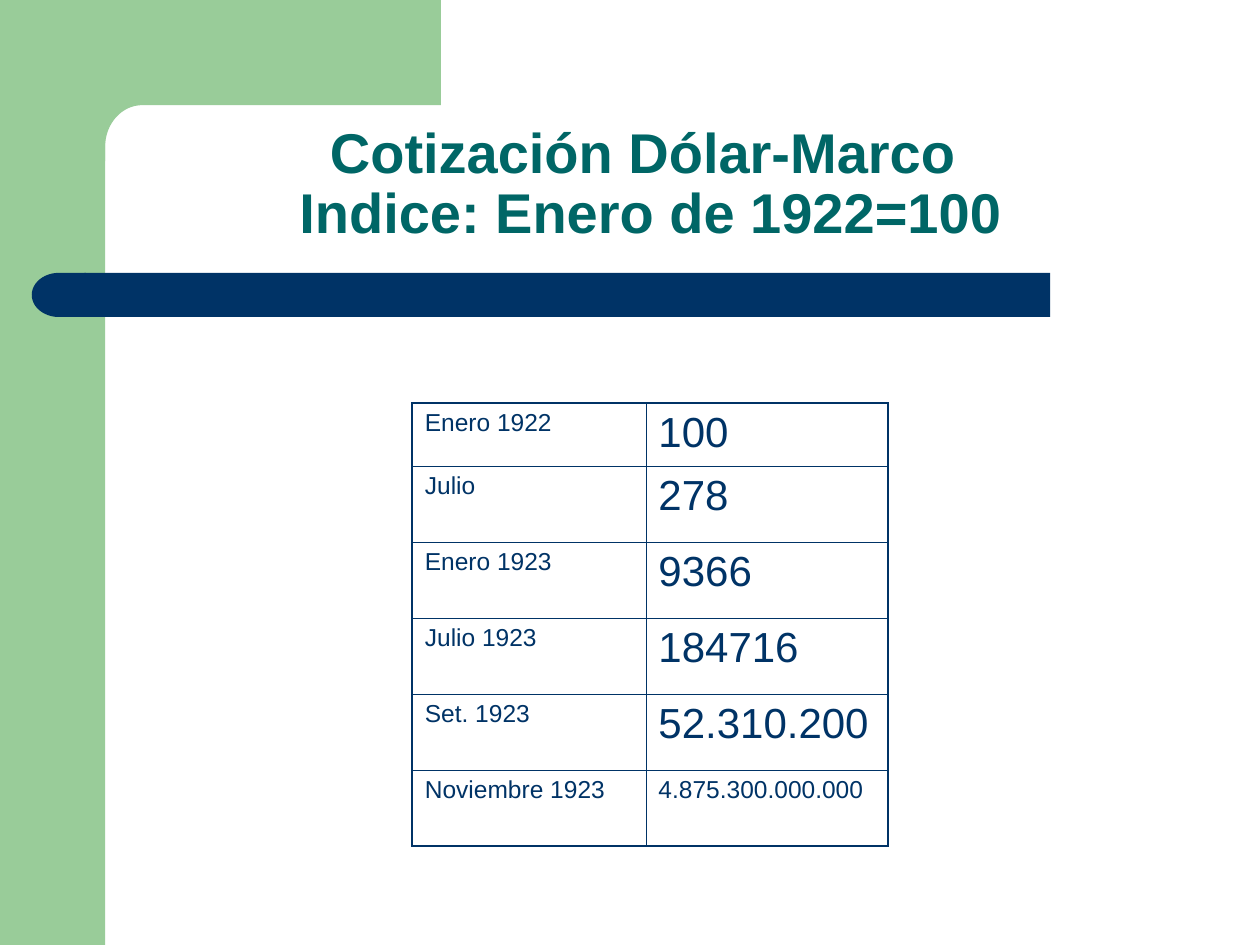
from math import cos, pi, sin

from lxml.etree import SubElement
from pptx import Presentation
from pptx.dml.color import RGBColor
from pptx.enum.shapes import MSO_SHAPE
from pptx.enum.text import MSO_ANCHOR, PP_ALIGN
from pptx.oxml.ns import qn
from pptx.util import Cm, Pt

COLORS = {"green": "99CC99", "navy": "003366", "teal": "006666"}
FONT = "Arial"
THICK, THIN = Pt(1.08), Pt(0.45)
SMALL, LARGE = 14, 24
SPACE_BEFORE = {SMALL: Pt(3.5), LARGE: Pt(6)}
BAND_WIDTH = 2.12

QUOTES = [
    ("Enero 1922", "100"),
    ("Julio", "278"),
    ("Enero 1923", "9366"),
    ("Julio 1923", "184716"),
    ("Set. 1923", "52.310.200"),
    ("Noviembre 1923", "4.875.300.000.000"),
]


def paint(shape, color):
    shape.shadow.inherit = False
    shape.fill.solid()
    shape.fill.fore_color.rgb = RGBColor.from_string(COLORS[color])
    shape.line.fill.background()


def add_block(slide, kind, left, top, width, height, color):
    shape = slide.shapes.add_shape(kind, Cm(left), Cm(top), Cm(width), Cm(height))
    paint(shape, color)
    return shape


def add_corner(slide):
    """Draw the top band, whose inner corner is a quarter of an ellipse."""
    left, right, bottom = 1.27, 8.89, 3.25
    radius_x, radius_y, steps = 0.75, 0.84, 16
    center_x, center_y = BAND_WIDTH + radius_x, BAND_WIDTH + radius_y
    angles = [pi / 2 * step / steps for step in range(steps + 1)]
    curve = [(center_x - radius_x * sin(angle), center_y - radius_y * cos(angle))
             for angle in angles]
    outline = [(right, 0), (right, BAND_WIDTH), *curve,
               (BAND_WIDTH, bottom), (left, bottom)]
    builder = slide.shapes.build_freeform(Cm(left), 0)
    builder.add_line_segments([(Cm(x), Cm(y)) for x, y in outline])
    paint(builder.convert_to_shape(), "green")


def format_runs(paragraph, size, color, bold=False):
    for run in paragraph.runs:
        run.font.name = FONT
        run.font.size = Pt(size)
        run.font.bold = bold
        run.font.color.rgb = RGBColor.from_string(COLORS[color])


def add_title(slide, text):
    box = slide.shapes.add_textbox(Cm(2.31), Cm(2.31), Cm(21.62), Cm(2.77))
    frame = box.text_frame
    frame.word_wrap = True
    frame.vertical_anchor = MSO_ANCHOR.BOTTOM
    frame.text = text
    paragraph = frame.paragraphs[0]
    paragraph.alignment = PP_ALIGN.CENTER
    paragraph.line_spacing = 0.9
    format_runs(paragraph, 32, "teal", bold=True)


def set_borders(cell, widths):
    """Add the left, right, top and bottom lines, in that order."""
    properties = cell._tc.get_or_add_tcPr()
    for side, width in zip("LRTB", widths):
        line = SubElement(properties, qn(f"a:ln{side}"), w=str(int(width)))
        fill = SubElement(line, qn("a:solidFill"))
        SubElement(fill, qn("a:srgbClr"), val=COLORS["navy"])


def add_quote_table(slide):
    column_widths = [4.71, 4.88]
    row_heights = [1.27] + [1.53] * (len(QUOTES) - 1)
    frame = slide.shapes.add_table(
        len(QUOTES), len(column_widths), Cm(8.31), Cm(8.13),
        Cm(sum(column_widths)), Cm(sum(row_heights)))
    table = frame.table
    table.first_row = table.horz_banding = False
    for column, width in zip(table.columns, column_widths):
        column.width = Cm(width)
    for row, height in zip(table.rows, row_heights):
        row.height = Cm(height)

    last_row = len(QUOTES) - 1
    for row_index, quote in enumerate(QUOTES):
        for column_index, text in enumerate(quote):
            cell = table.cell(row_index, column_index)
            is_value = column_index == 1
            outer_sides = (not is_value, is_value,
                           row_index == 0, row_index == last_row)
            set_borders(cell, [THICK if outer else THIN for outer in outer_sides])
            cell.fill.background()
            cell.text_frame.text = text
            size = LARGE if is_value and row_index < last_row else SMALL
            paragraph = cell.text_frame.paragraphs[0]
            paragraph.space_before = SPACE_BEFORE[size]
            format_runs(paragraph, size, "navy")


def main():
    presentation = Presentation()
    presentation.slide_width, presentation.slide_height = Cm(25.4), Cm(19.05)
    slide = presentation.slides.add_slide(presentation.slide_layouts[6])

    add_block(slide, MSO_SHAPE.RECTANGLE, 0, 0, BAND_WIDTH, 19.05, "green")
    add_corner(slide)
    add_block(slide, MSO_SHAPE.RECTANGLE, 1.7, 5.5, 19.47, 0.89, "navy")
    bar_end = add_block(slide, MSO_SHAPE.FLOWCHART_DELAY, 0.64, 5.5, 1.09, 0.89, "navy")
    bar_end.rotation = 180
    add_title(slide, "Cotización Dólar-Marco \vIndice: Enero de 1922=100")
    add_quote_table(slide)

    presentation.save("out.pptx")


if __name__ == "__main__":
    main()
